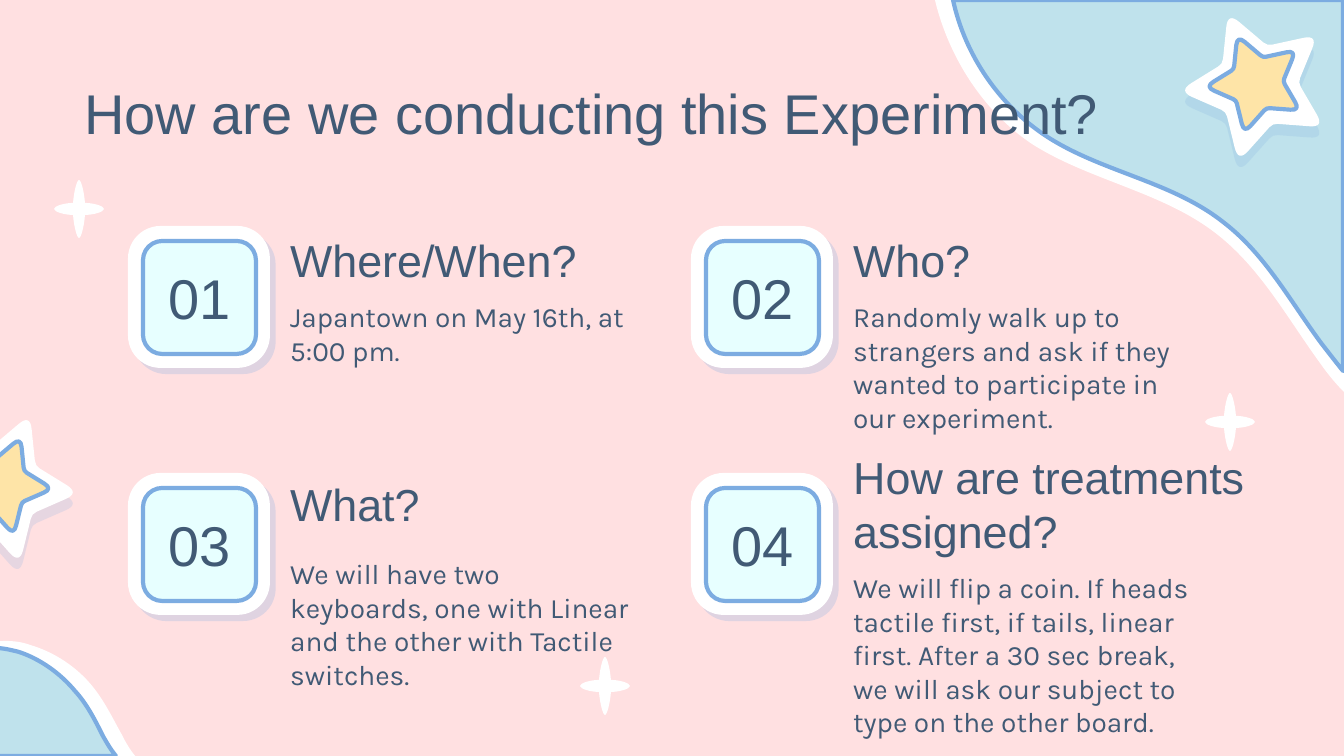
from math import cos, dist, radians, sin

from lxml.etree import SubElement
from pptx import Presentation
from pptx.dml.color import RGBColor
from pptx.enum.shapes import MSO_SHAPE
from pptx.enum.text import MSO_ANCHOR, PP_ALIGN
from pptx.oxml.ns import qn
from pptx.util import Emu, Pt

PINK = RGBColor(0xFF, 0xE0, 0xE1)
WHITE = RGBColor(0xFF, 0xFF, 0xFF)
SKY = RGBColor(0xBF, 0xE2, 0xEC)
BLUE = RGBColor(0x7C, 0xAC, 0xE1)
ICE = RGBColor(0xE7, 0xFF, 0xFF)
YELLOW = RGBColor(0xFE, 0xE4, 0xA7)
NAVY = RGBColor(0x41, 0x5A, 0x75)

# Each wave is a start point followed by three points per Bézier curve
CORNER_BACK = [(935, 0), (949, 58), (984, 112), (1032, 144),
               (1090, 181), (1164, 192), (1218, 235),
               (1261, 269), (1288, 319), (1320, 363),
               (1327, 373), (1335, 383), (1344, 392)]
CORNER_FRONT = [(953, 0), (965, 55), (999, 105), (1046, 136),
                (1101, 172), (1171, 181), (1223, 222),
                (1265, 254), (1290, 301), (1321, 343),
                (1328, 352), (1335, 361), (1343, 371)]
HILL_BACK = [(-11, 757), (-25, 738), (-46, 715), (-46, 687),
             (-46, 660), (-25, 641), (5, 641),
             (13, 641), (22, 642), (30, 645),
             (54, 652), (77, 667), (93, 687),
             (105, 702), (113, 719), (122, 735),
             (126, 743), (130, 750), (136, 757)]
HILL_FRONT = [(-19, 756), (-32, 738), (-51, 715), (-51, 690),
              (-51, 662), (-32, 648), (-5, 648),
              (3, 648), (11, 650), (19, 652),
              (40, 659), (60, 673), (75, 691),
              (87, 704), (95, 720), (103, 736),
              (107, 743), (111, 750), (116, 756)]
SPARKLE_ARM = [(0, -29), (2, -29), (5, -18), (6, -6),
               (14, -6), (25, -3), (25, 0)]

# Number, tile left and top, heading, its top and width, body, its top and height
CARDS = [
    ("01", 128, 226, "Where/When?", 229, 376,
     "Japantown on May 16th, at 5:00 pm.", 286, 90),
    ("02", 691, 226, "Who?", 229, 376,
     "Randomly walk up to strangers and ask if they wanted to participate in "
     "our experiment.", 286, 155),
    ("03", 128, 473, "What?", 473, 376,
     "We will have two keyboards, one with Linear and the other with Tactile "
     "switches.", 543, 90),
    ("04", 691, 473, "How are treatments assigned?", 473, 504,
     "We will flip a coin. If heads tactile first, if tails, linear first. "
     "After a 30 sec break, we will ask our subject to type on the other board.",
     557, 90),
]


def px(value):
    return Emu(round(value * 914400 / 134.4))


def curves(points):
    """Split the points after the start into Bézier segments."""
    return [points[first:first + 3] for first in range(1, len(points), 3)]


def paint(shape, fill, outlined=False, shadow=None):
    shape.fill.solid()
    shape.fill.fore_color.rgb = fill
    if outlined:
        shape.line.color.rgb = BLUE
        shape.line.width = Pt(2.25)
    else:
        shape.line.fill.background()
    shape.shadow.inherit = False
    if shadow:
        opacity, distance, angle = shadow
        effects = shape.element.spPr.find(qn("a:effectLst"))
        outer = SubElement(effects, qn("a:outerShdw"), dist=str(Pt(distance)),
                           dir=str(angle * 60000), algn="bl", rotWithShape="0")
        color = SubElement(outer, qn("a:srgbClr"), val=str(BLUE))
        SubElement(color, qn("a:alpha"), val=str(opacity * 1000))


def add_outline(page, start, segments, fill, **style):
    """Closed outline: one point makes a line segment, three make a curve."""
    builder = page.shapes.build_freeform(px(start[0]), px(start[1]), scale=1.0)
    builder.add_line_segments([(px(x), px(y)) for part in segments for x, y in part])
    shape = builder.convert_to_shape()
    outline = shape.element.spPr.find(".//" + qn("a:path"))
    lines = iter(outline.findall(qn("a:lnTo")))
    for part in segments:
        first = next(lines)
        if len(part) == 3:
            first.tag = qn("a:cubicBezTo")
            for _ in range(2):
                line = next(lines)
                first.append(line[0])
                outline.remove(line)
    paint(shape, fill, **style)
    return shape


def add_rounded_star(page, center_x, center_y, size, rotation, fill, **style):
    """Five-pointed star with rounded corners, centered by its bounds."""
    corners = []
    for index in range(10):
        radius = (79, 41)[index % 2] * size
        angle = radians(270 + 36 * index)
        corners.append((center_x + radius * cos(angle),
                        center_y + 7 * size + radius * sin(angle)))
    segments = []
    for index, corner in enumerate(corners):
        cut = (15, 5)[index % 2] * size
        ends, controls = [], []
        for neighbor in (corners[index - 1], corners[(index + 1) % 10]):
            for reach, points in ((cut, ends), (cut / 3, controls)):
                share = reach / dist(corner, neighbor)
                points.append(tuple(c + (n - c) * share
                                    for c, n in zip(corner, neighbor)))
        segments += [[ends[0]], [*controls, ends[1]]]
    star = add_outline(page, segments[0][0], segments[1:], fill, **style)
    star.rotation = rotation


def add_star(page, center_x, center_y, rotation):
    add_rounded_star(page, center_x, center_y, 1, rotation, WHITE, shadow=(19, 6, 90))
    add_rounded_star(page, center_x, center_y, 0.65, rotation, YELLOW, outlined=True)


def add_sparkle(page, center_x, center_y):
    right = SPARKLE_ARM + [(x, -y) for x, y in SPARKLE_ARM[-2::-1]]
    around = right + [(-x, y) for x, y in right[-2::-1]]
    points = [(center_x + x, center_y + y) for x, y in around]
    add_outline(page, points[0], curves(points), WHITE)


def add_tile(page, left, top, size, radius, fill, **style):
    tile = page.shapes.add_shape(MSO_SHAPE.ROUNDED_RECTANGLE,
                                 px(left), px(top), px(size), px(size))
    tile.adjustments[0] = radius
    paint(tile, fill, **style)


def add_text(page, left, top, width, height, text, size, font="Arial",
             anchor=MSO_ANCHOR.MIDDLE, align=PP_ALIGN.LEFT):
    box = page.shapes.add_textbox(px(left), px(top), px(width), px(height))
    frame = box.text_frame
    frame.word_wrap = True
    frame.vertical_anchor = anchor
    frame.margin_left = frame.margin_right = Pt(7.2)
    frame.margin_top = frame.margin_bottom = Pt(7.2)
    frame.text = text
    para = frame.paragraphs[0]
    para.alignment = align
    span = para.runs[0]
    span.font.name = font
    span.font.size = Pt(size)
    span.font.color.rgb = NAVY


def add_card(page, number, left, top, heading, heading_top, heading_width,
             body, body_top, body_height):
    add_tile(page, left, top, 142, 0.23, WHITE, shadow=(24, 4.5, 47))
    add_tile(page, left + 15, top + 15, 113, 0.17, ICE, outlined=True)
    add_text(page, left + 8, top + 36, 128, 70, number, 30, align=PP_ALIGN.CENTER)
    add_text(page, left + 149, heading_top, heading_width, 62, heading, 24)
    add_text(page, left + 149, body_top, 376, body_height, body, 15, "Karla",
             MSO_ANCHOR.TOP)


def main():
    deck = Presentation()
    deck.slide_width, deck.slide_height = px(1344), px(756)
    page = deck.slides.add_slide(deck.slide_layouts[6])
    page.background.fill.solid()
    page.background.fill.fore_color.rgb = PINK

    # Waves in the corners
    add_outline(page, HILL_BACK[0], curves(HILL_BACK), WHITE)
    add_outline(page, HILL_FRONT[0], curves(HILL_FRONT), SKY, outlined=True)
    add_outline(page, CORNER_BACK[0], curves(CORNER_BACK) + [[(1344, 0)]], WHITE)
    add_outline(page, CORNER_FRONT[0], curves(CORNER_FRONT) + [[(1343, 0)]], SKY,
                outlined=True)

    # Stars and sparkles
    add_star(page, 3, 481, rotation=22)
    add_star(page, 1255, 79, rotation=-22)
    for center in ((79, 209), (605, 686), (1230, 422)):
        add_sparkle(page, *center)

    # Title and numbered cards
    add_text(page, 71, 65, 1134, 85, "How are we conducting this Experiment?", 30,
             anchor=MSO_ANCHOR.TOP)
    for card in CARDS:
        add_card(page, *card)

    deck.save("out.pptx")


if __name__ == "__main__":
    main()
